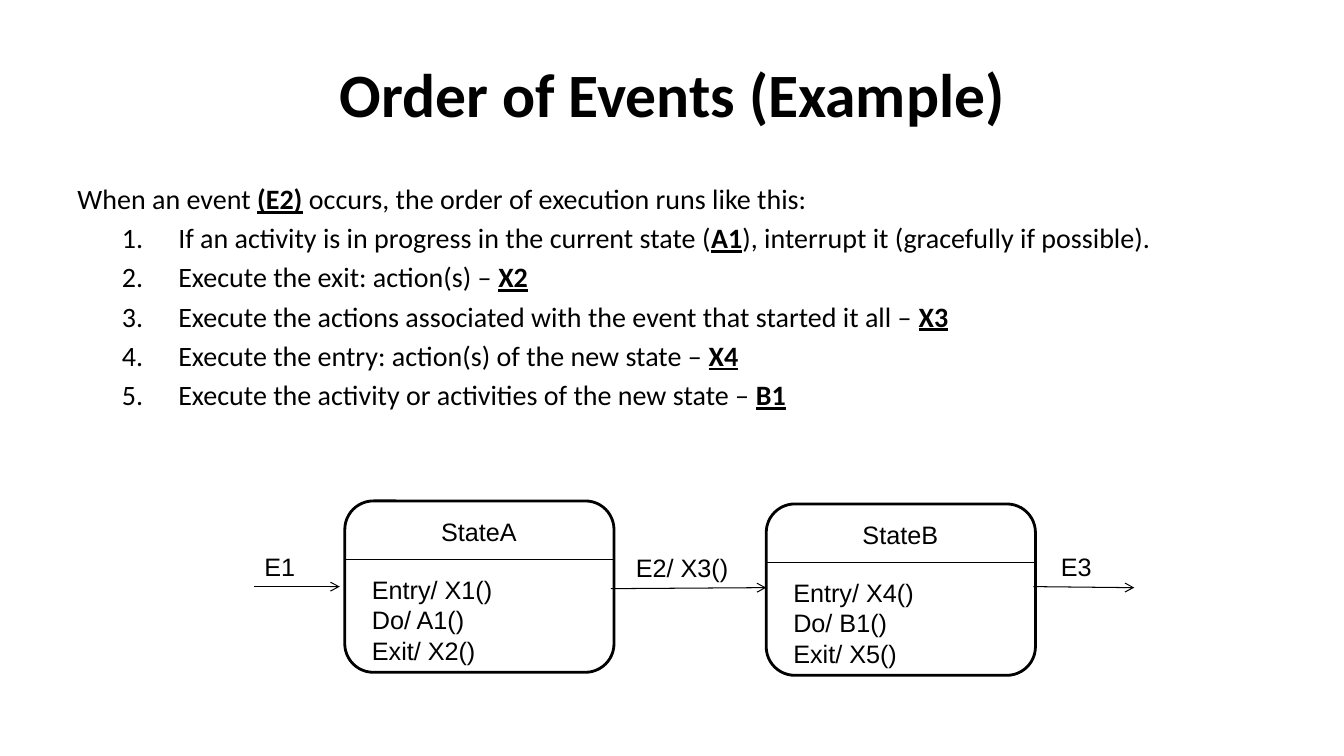
from lxml import etree
from pptx import Presentation
from pptx.dml.color import RGBColor
from pptx.enum.shapes import MSO_CONNECTOR, MSO_SHAPE
from pptx.enum.text import MSO_ANCHOR, PP_ALIGN
from pptx.oxml.ns import qn
from pptx.util import Inches, Pt

LEFT, CENTER = PP_ALIGN.LEFT, PP_ALIGN.CENTER
TOP, MIDDLE = MSO_ANCHOR.TOP, MSO_ANCHOR.MIDDLE
STRAIGHT = MSO_CONNECTOR.STRAIGHT
ROUNDED = MSO_SHAPE.ROUNDED_RECTANGLE
TITLE_ONLY = 5

COLORS = {"ink": "000000"}
INTRO = ("When an event ", "(E2)", " occurs, the order of execution runs like this:")
STEPS = [
    ("If an activity is in progress in the current state (", "A1",
     "), interrupt it (gracefully if possible)."),
    ("Execute the exit: action(s) – ", "X2"),
    ("Execute the actions associated with the event that started it all – ", "X3"),
    ("Execute the entry: action(s) of the new state – ", "X4"),
    ("Execute the activity or activities of the new state – ", "B1"),
]


def add_text(para, text, font="Arial", size=18, bold=False, underline=False,
             color="ink"):
    """Append one formatted run to a paragraph."""
    span = para.add_run()
    span.text = text
    span.font.name = font
    span.font.size = Pt(size)
    span.font.bold = bold
    span.font.underline = underline
    span.font.color.rgb = RGBColor.from_string(COLORS[color])


class StatePage:
    """Holds the slide and draws its kinds of element."""

    def __init__(self, deck):
        self.page = deck.slides.add_slide(deck.slide_layouts[TITLE_ONLY])
        self.ink = RGBColor.from_string(COLORS["ink"])

    def title(self, text):
        box = self.page.shapes.title
        box.left, box.top = Inches(0.67), Inches(0.3)
        box.width, box.height = Inches(12), Inches(1.25)
        box.text_frame.vertical_anchor = MIDDLE
        para = box.text_frame.paragraphs[0]
        para.alignment = CENTER
        add_text(para, text, font="Calibri", size=44, bold=True)

    def text_box(self, left, top, width, height):
        box = self.page.shapes.add_textbox(
            Inches(left), Inches(top), Inches(width), Inches(height))
        box.text_frame.word_wrap = True
        box.text_frame.vertical_anchor = TOP
        return box.text_frame

    def label(self, lines, left, top, width, height=0.4, align=CENTER):
        frame = self.text_box(left, top, width, height)
        for index, line in enumerate(lines):
            para = frame.add_paragraph() if index else frame.paragraphs[0]
            para.alignment = align
            add_text(para, line)

    def steps(self, intro, steps):
        frame = self.text_box(0.67, 1.75, 12, 4.95)
        for index, parts in enumerate([intro, *steps]):
            para = frame.add_paragraph() if index else frame.paragraphs[0]
            if index:
                para.space_before = Pt(4)
                self.number(para)
            # Every second part is an emphasised name
            for place, part in enumerate(parts):
                strong = place % 2 == 1
                add_text(para, part, font="Calibri", size=20, bold=strong,
                         underline=strong)

    def number(self, para):
        para.level = 1
        props = para._p.get_or_add_pPr()
        props.set("marL", str(Inches(1)))
        props.set("indent", str(Inches(-0.56)))
        etree.SubElement(props, qn("a:buFont"), typeface="+mj-lt")
        etree.SubElement(props, qn("a:buAutoNum"), type="arabicPeriod")

    def line(self, start, end, arrow=False):
        link = self.page.shapes.add_connector(
            STRAIGHT, *(Inches(value) for value in (*start, *end)))
        link.line.color.rgb = self.ink
        link.line.width = Pt(0.75)
        if arrow:
            etree.SubElement(link.line._get_or_add_ln(), qn("a:tailEnd"), type="arrow")
        etree.SubElement(link._element.spPr, qn("a:effectLst"))

    def state(self, name, actions, left, top):
        width = 2.67
        shape = self.page.shapes.add_shape(
            ROUNDED, Inches(left), Inches(top), Inches(width), Inches(1.7))
        shape.shadow.inherit = False
        shape.fill.background()
        shape.line.color.rgb = self.ink
        shape.line.width = Pt(2)
        self.line((left, top + 0.58), (left + width, top + 0.58))
        self.label([name], left + 0.33, top + 0.1, 2)
        self.label(actions, left + 0.17, top + 0.68, 2.33, 1.01, align=LEFT)

    def event(self, text, start, end, left, top, width):
        self.line(start, end, arrow=True)
        self.label([text], left, top, width)


def main():
    deck = Presentation()
    deck.slide_width, deck.slide_height = Inches(13.33), Inches(7.5)
    page = StatePage(deck)

    # Title and numbered steps
    page.title("Order of Events (Example)")
    page.steps(INTRO, STEPS)

    # States
    page.state("StateA", ["Entry/ X1()", "Do/ A1()", "Exit/ X2()"], 3.42, 4.97)
    page.state("StateB", ["Entry/ X4()", "Do/ B1()", "Exit/ X5()"], 7.6, 5)

    # Events between the states
    page.event("E1", (2.52, 5.82), (3.37, 5.82), 2.33, 5.42, 0.89)
    page.event("E2/ X3()", (6.06, 5.84), (7.6, 5.83), 6.08, 5.43, 1.37)
    page.event("E3", (10.25, 5.82), (11.25, 5.83), 10.1, 5.42, 1.15)

    deck.save("out.pptx")


if __name__ == "__main__":
    main()
